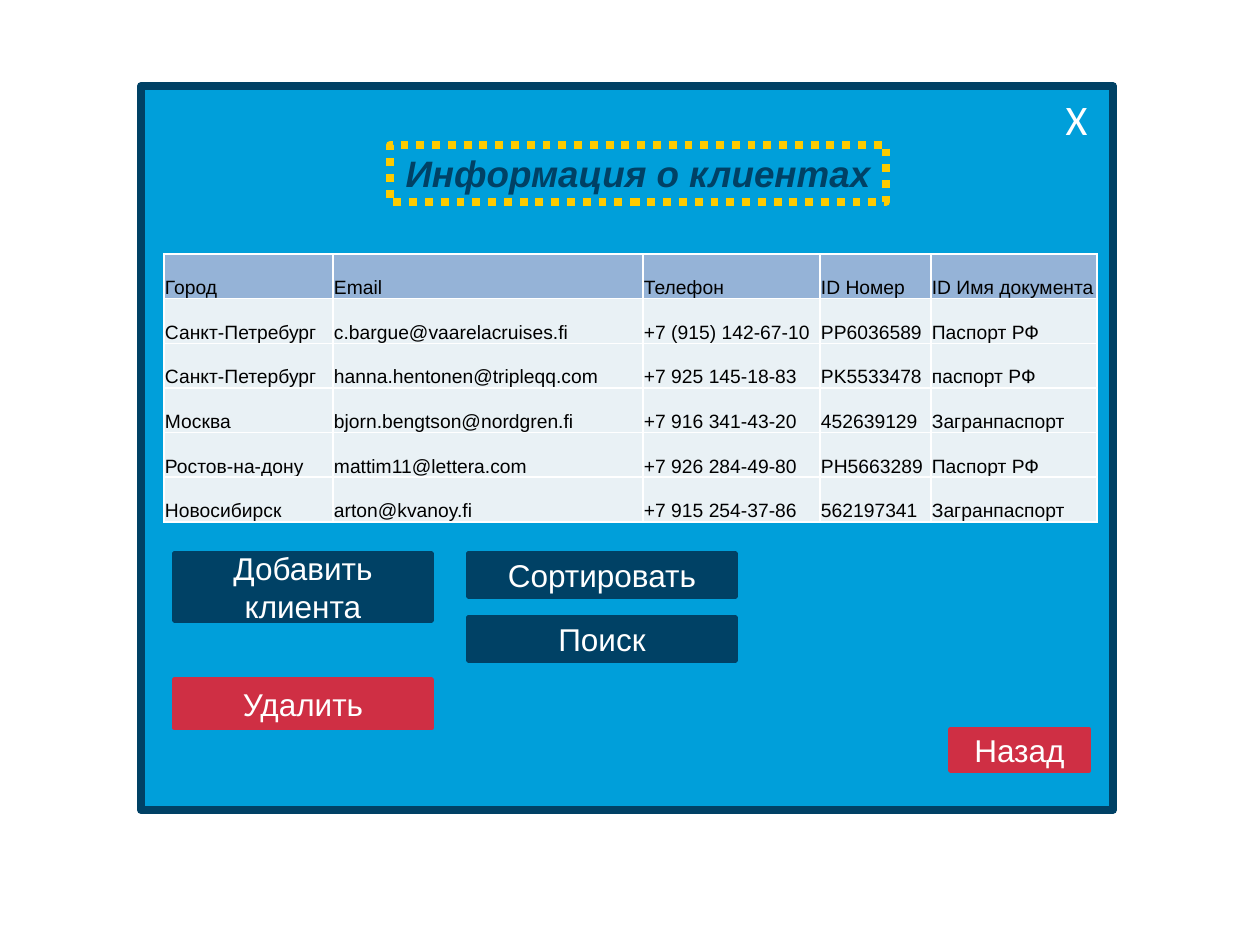
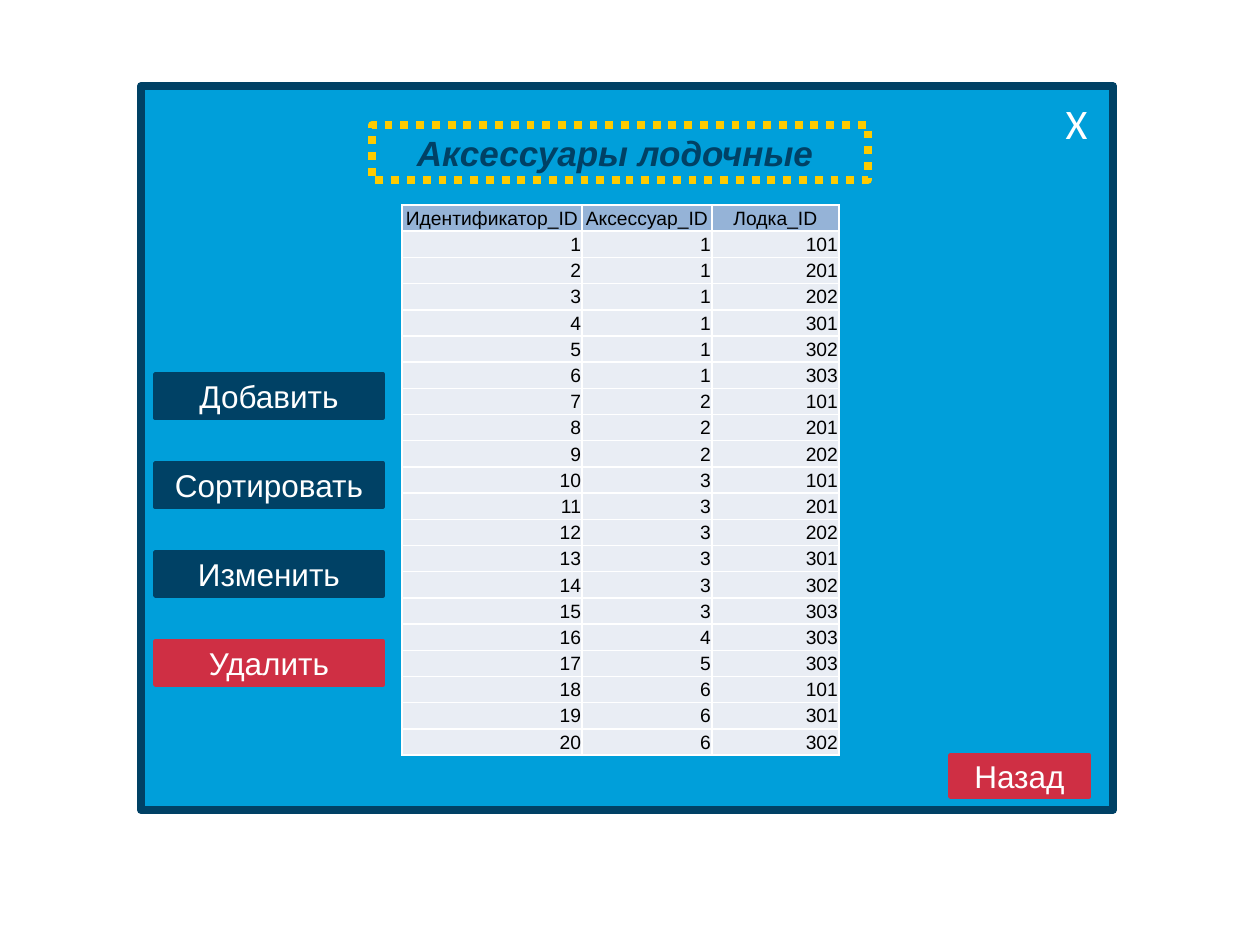
from dataclasses import dataclass

from lxml import etree
from pptx import Presentation
from pptx.dml.color import RGBColor
from pptx.enum.dml import MSO_LINE
from pptx.enum.shapes import MSO_SHAPE
from pptx.enum.text import MSO_ANCHOR, MSO_AUTO_SIZE, PP_ALIGN
from pptx.oxml.ns import qn
from pptx.util import Emu, Pt

RECTANGLE = MSO_SHAPE.RECTANGLE
BLANK_BUTTON = MSO_SHAPE.ACTION_BUTTON_CUSTOM
DOTTED = MSO_LINE.ROUND_DOT
TOP, MIDDLE, BOTTOM = MSO_ANCHOR.TOP, MSO_ANCHOR.MIDDLE, MSO_ANCHOR.BOTTOM
LEFT, CENTER, RIGHT = PP_ALIGN.LEFT, PP_ALIGN.CENTER, PP_ALIGN.RIGHT
GROW = MSO_AUTO_SIZE.SHAPE_TO_FIT_TEXT
EMU_PER_PIXEL = 914400 / 126


@dataclass(frozen=True)
class Theme:
    sky: str = "009FDA"
    navy: str = "004165"
    red: str = "CF2F44"
    yellow: str = "FECB00"
    white: str = "FFFFFF"
    black: str = "000000"
    header: str = "95B3D7"
    client_row: str = "E9F1F5"
    accessory_row: str = "E9EDF4"
    font: str = "Arial"
    close_font: str = "Calibri"
    button_size: int = 18
    close_size: int = 24
    table_size: int = 11
    thick_line: float = 4.5
    thin_line: float = 2
    border: float = 1


THEME = Theme()

CLIENTS = [
    ["Город", "Еmail", "Телефон", "ID Номер", "ID Имя документа"],
    ["Санкт-Петребург", "c.bargue@vaarelacruises.fi", "+7 (915) 142-67-10",
     "PP6036589", "Паспорт РФ"],
    ["Санкт-Петербург", "hanna.hentonen@tripleqq.com", "+7 925 145-18-83",
     "PK5533478", "паспорт РФ"],
    ["Москва", "bjorn.bengtson@nordgren.fi", "+7 916 341-43-20",
     "452639129", "Загранпаспорт"],
    ["Ростов-на-дону", "mattim11@lettera.com", "+7 926 284-49-80",
     "PH5663289", "Паспорт РФ"],
    ["Новосибирск", "arton@kvanoy.fi", "+7 915 254-37-86",
     "562197341", "Загранпаспорт"],
]
ACCESSORY_HEADER = ["Идентификатор_ID", "Аксессуар_ID", "Лодка_ID"]
BOATS_BY_ACCESSORY = {
    1: [101, 201, 202, 301, 302, 303],
    2: [101, 201, 202],
    3: [101, 201, 202, 301, 302, 303],
    4: [303],
    5: [303],
    6: [101, 301, 302],
}


def px(length):
    return Emu(round(length * EMU_PER_PIXEL))


def apply(target, values):
    for name, value in values.items():
        setattr(target, name, value)


def write(frame, text, size, color, align, font=THEME.font, **style):
    para = frame.paragraphs[0]
    para.alignment = align
    span = para.add_run()
    span.text = text
    apply(span.font, {"name": font, "size": Pt(size), **style})
    span.font.color.rgb = RGBColor.from_string(color)


def add_box(page, place, fill, line, width, kind=RECTANGLE):
    box = page.shapes.add_shape(kind, *map(px, place))
    box.shadow.inherit = False
    if fill:
        box.fill.solid()
        box.fill.fore_color.rgb = RGBColor.from_string(fill)
    else:
        box.fill.background()
    box.line.color.rgb = RGBColor.from_string(line)
    box.line.width = Pt(width)
    return box


def add_title(page, place, text, size):
    box = add_box(page, place, None, THEME.yellow, THEME.thick_line)
    box.line.dash_style = DOTTED
    apply(box.text_frame, {"vertical_anchor": TOP, "word_wrap": True, "auto_size": GROW})
    write(box.text_frame, text, size, THEME.navy, CENTER, bold=True, italic=True)


def add_button(page, place, text, fill=THEME.navy):
    box = add_box(page, place, fill, fill, THEME.thin_line)
    apply(box.text_frame, {"vertical_anchor": MIDDLE, "word_wrap": True})
    write(box.text_frame, text, THEME.button_size, THEME.white, CENTER)


def add_close(page, top):
    box = add_box(page, (1047, top, 59, 53), THEME.sky, THEME.sky,
                  THEME.thin_line, BLANK_BUTTON)
    box.text_frame.vertical_anchor = MIDDLE
    write(box.text_frame, "Х", THEME.close_size, THEME.white, CENTER, THEME.close_font)


def add_borders(cell):
    properties = cell._tc.get_or_add_tcPr()
    for side in ("a:lnL", "a:lnR", "a:lnT", "a:lnB"):
        line = etree.SubElement(properties, qn(side), w=str(Pt(THEME.border)))
        fill = etree.SubElement(line, qn("a:solidFill"))
        etree.SubElement(fill, qn("a:srgbClr"), val=THEME.white)


def add_grid(page, place, widths, rows, row_fill, anchor, header_align, row_align):
    left, top, height = place
    table = page.shapes.add_table(len(rows), len(widths), px(left), px(top),
                                  px(sum(widths)), px(height)).table
    apply(table, {"first_row": False, "horz_banding": False})
    for column, width in zip(table.columns, widths):
        column.width = px(width)
    for index, (row, texts) in enumerate(zip(table.rows, rows)):
        row.height = px(height / len(rows))
        align = row_align if index else header_align
        fill = row_fill if index else THEME.header
        for cell, text in zip(row.cells, texts):
            add_borders(cell)
            apply(cell, {"margin_left": px(1), "margin_right": px(1), "margin_top": px(1),
                         "margin_bottom": 0, "vertical_anchor": anchor})
            cell.fill.solid()
            cell.fill.fore_color.rgb = RGBColor.from_string(fill)
            write(cell.text_frame, str(text), THEME.table_size, THEME.black, align)


def add_window(deck, close_top, back_top):
    page = deck.slides.add_slide(deck.slide_layouts[6])
    add_box(page, (141, 86, 972, 724), THEME.sky, THEME.navy, THEME.thick_line)
    add_close(page, close_top)
    add_button(page, (950, back_top, 139, 42), "Назад", THEME.red)
    return page


def add_clients_page(deck):
    page = add_window(deck, 92, 729)
    add_title(page, (390, 145, 496, 57), "Информация о клиентах", 21)
    add_grid(page, (164, 254, 268), (169, 310, 177, 111, 166), CLIENTS,
             THEME.client_row, BOTTOM, LEFT, LEFT)
    add_button(page, (174, 553, 258, 68), "Добавить клиента")
    add_button(page, (174, 679, 258, 49), "Удалить", THEME.red)
    for index, text in enumerate(["Сортировать", "Поиск"]):
        add_button(page, (468, 553 + 64 * index, 268, 44), text)


def add_accessories_page(deck):
    page = add_window(deck, 96, 755)
    add_title(page, (372, 125, 496, 55), "Аксессуары лодочные ", 20)
    pairs = [(accessory, boat) for accessory, boats in BOATS_BY_ACCESSORY.items()
             for boat in boats]
    rows = [ACCESSORY_HEADER] + [(number, *pair) for number, pair in enumerate(pairs, 1)]
    add_grid(page, (402, 205, 551), (180, 130, 127), rows,
             THEME.accessory_row, MIDDLE, CENTER, RIGHT)
    buttons = [("Добавить", THEME.navy), ("Сортировать", THEME.navy),
               ("Изменить", THEME.navy), ("Удалить", THEME.red)]
    for index, (text, fill) in enumerate(buttons):
        add_button(page, (155, 374 + 89 * index, 228, 44), text, fill)


def main():
    deck = Presentation()
    apply(deck, {"slide_width": px(1260), "slide_height": px(945)})
    add_clients_page(deck)
    add_accessories_page(deck)
    deck.save("out.pptx")


main()
